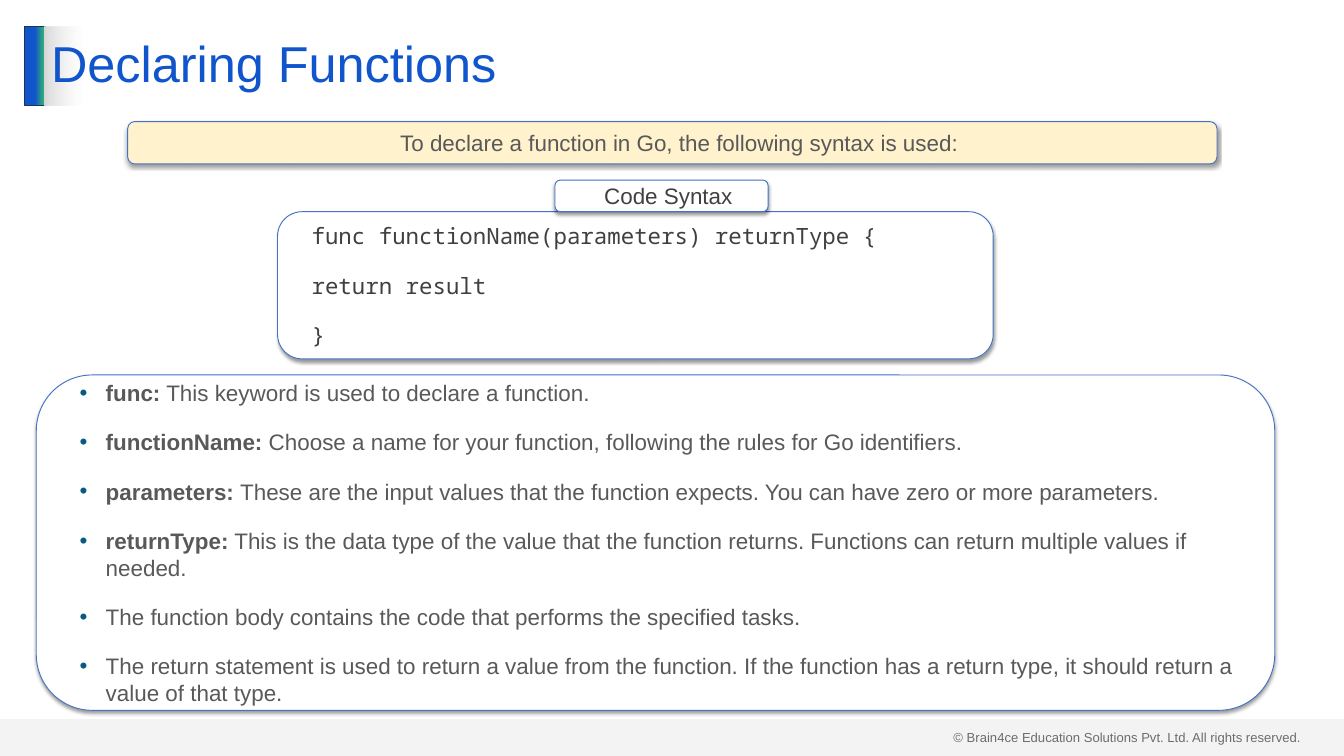
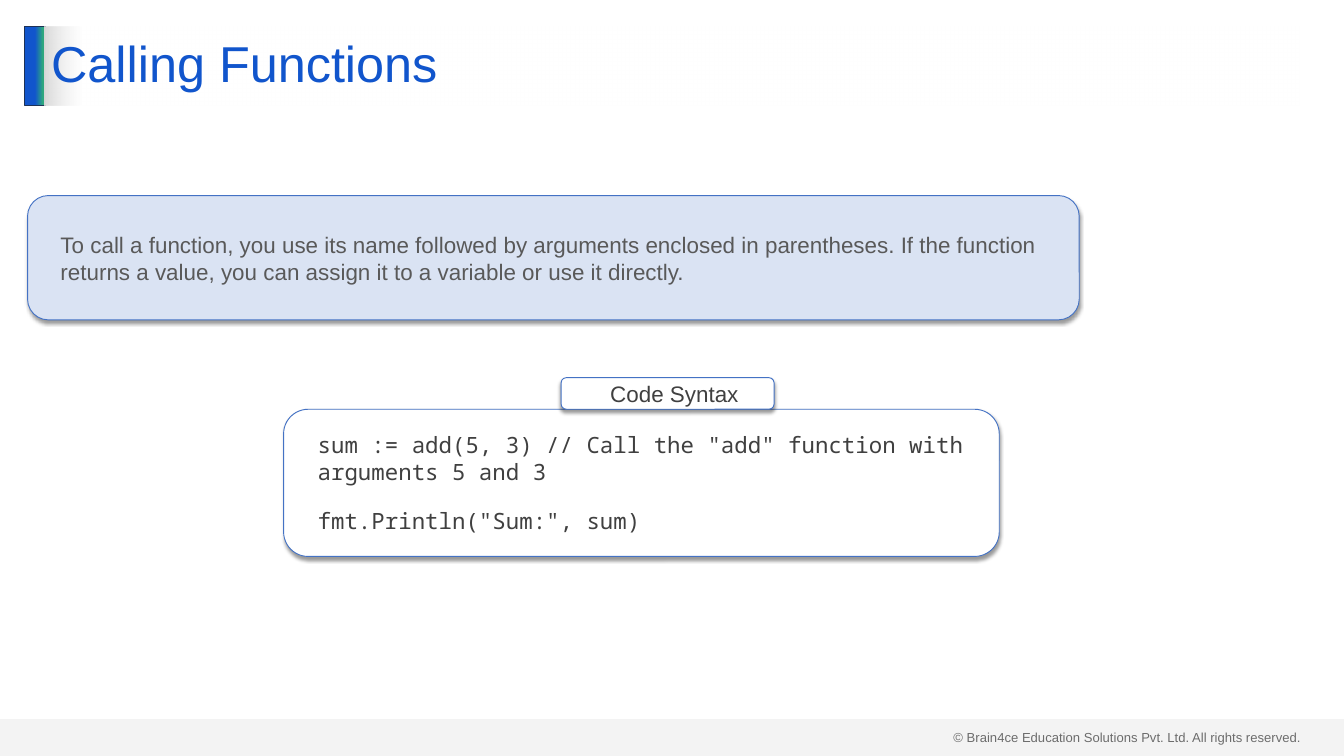
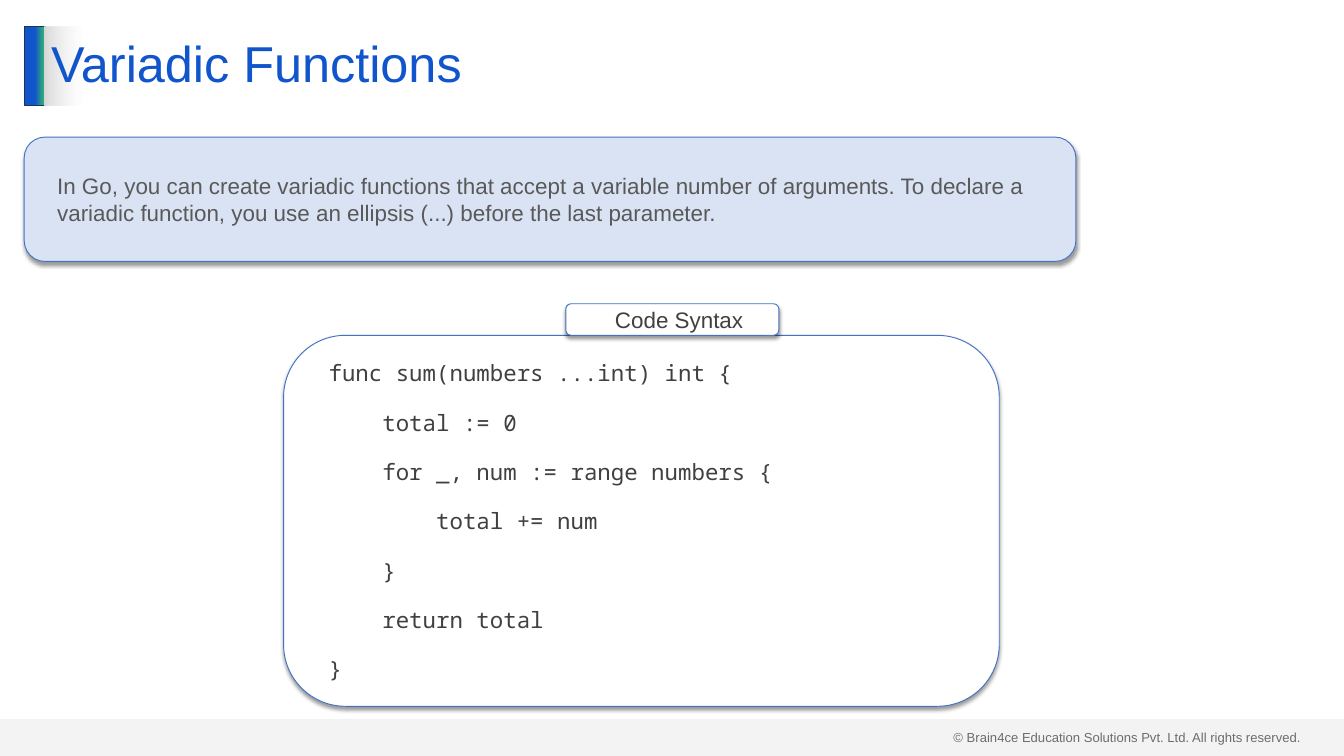
import dataclasses

import lxml.etree
import pptx
import pptx.dml.color
import pptx.enum.shapes
import pptx.enum.text
import pptx.oxml.ns
import pptx.util

Inches = pptx.util.Inches
Pt = pptx.util.Pt
RGBColor = pptx.dml.color.RGBColor
Shapes = pptx.enum.shapes.MSO_SHAPE
Align = pptx.enum.text.PP_ALIGN
AutoSize = pptx.enum.text.MSO_AUTO_SIZE
qn = pptx.oxml.ns.qn


@dataclasses.dataclass(frozen=True)
class Theme:
    title: str = "1155CC"
    accent_end: str = "2EA87D"
    accent_line: str = "1E3256"
    gray: str = "D9D9D9"
    white: str = "FFFFFF"
    outline: str = "4472C4"
    cream: str = "FFF2CC"
    pale_blue: str = "DAE3F3"
    text: str = "595959"
    dark_text: str = "404040"
    bullet: str = "095A82"
    shadow: str = "000000"
    font: str = "Arial"
    code_font: str = "Noto Sans Mono"
    title_size: int = 54
    text_size: int = 24
    footer_size: int = 14
    paragraph_gap: int = 24


THEME = Theme()
TITLE_ONLY, TITLE_AND_BODY = 5, 1
CALLOUT_SIZE = (15.65, 1.85)
TAB_SIZE = (3.17, 0.47)


# Formatting helpers
def add_element(parent, tag, **attributes):
    element = lxml.etree.SubElement(parent, qn(tag))
    for name, value in attributes.items():
        element.set(name, str(value))
    return element


def add_color(parent, color, opacity=100):
    element = add_element(parent, "a:srgbClr", val=color)
    if opacity < 100:
        add_element(element, "a:alpha", val=opacity * 1000)


def fill_solid(shape, color, opacity=100):
    shape.fill.solid()
    shape.fill.fore_color.rgb = RGBColor.from_string(color)
    if opacity < 100:
        color_element = shape.element.spPr.find(".//" + qn("a:srgbClr"))
        add_element(color_element, "a:alpha", val=opacity * 1000)


def fill_gradient(shape, stops):
    shape.fill.gradient()
    shape.fill.gradient_angle = 0
    stop_list = shape.element.spPr.find(".//" + qn("a:gsLst"))
    for stop in list(stop_list):
        stop_list.remove(stop)
    for position, color, opacity in stops:
        stop = add_element(stop_list, "a:gs", pos=position * 1000)
        add_color(stop, color, opacity)


def set_line(shape, color):
    shape.line.color.rgb = RGBColor.from_string(color)
    shape.line.width = Pt(1)


def place(shape, box):
    shape.left, shape.top, shape.width, shape.height = map(Inches, box)


def write_text(frame, paragraphs, *, color=THEME.text, font=THEME.font,
               size=THEME.text_size, align=Align.LEFT, line_spacing=None,
               indent=0, hanging=0, bullet=None):
    """Write paragraphs; a (lead, rest) pair sets its lead in bold."""
    for index, content in enumerate(paragraphs):
        paragraph = frame.paragraphs[0] if index == 0 else frame.add_paragraph()
        properties = paragraph._p.get_or_add_pPr()
        properties.set("marL", str(Inches(indent)))
        properties.set("indent", str(Inches(-hanging)))
        if bullet:
            add_color(add_element(properties, "a:buClr"), bullet)
            add_element(properties, "a:buFont", typeface=THEME.font)
            add_element(properties, "a:buChar", char="•")
        paragraph.alignment = align
        paragraph.space_before = Pt(THEME.paragraph_gap if index else 0)
        if line_spacing:
            paragraph.line_spacing = line_spacing
        lead, rest = content if isinstance(content, tuple) else ("", content)
        for text, bold in ((lead, True), (rest, False)):
            if text:
                run = paragraph.add_run()
                run.text = text
                run.font.name = font
                run.font.size = Pt(size)
                run.font.bold = bold
                run.font.color.rgb = RGBColor.from_string(color)


def style_panel(shape, fill):
    """Give a shape the outline, soft shadow and insets of a panel."""
    fill_solid(shape, fill)
    set_line(shape, THEME.outline)
    shape.shadow.inherit = False
    effects = shape.element.spPr.find(qn("a:effectLst"))
    shadow = add_element(effects, "a:outerShdw", blurRad=Pt(4), dist=Pt(3),
                         dir=90 * 60000, algn="t", rotWithShape=0)
    add_color(shadow, THEME.shadow, 40)
    frame = shape.text_frame
    frame.word_wrap = True
    frame.auto_size = AutoSize.NONE
    frame.vertical_anchor = pptx.enum.text.MSO_ANCHOR.MIDDLE
    frame.margin_left = frame.margin_right = Inches(0.2)
    frame.margin_top = frame.margin_bottom = Inches(0.1)


# Regions
def add_panel(slide, box, paragraphs, fill=THEME.white, **text_format):
    panel = slide.shapes.add_shape(Shapes.ROUNDED_RECTANGLE, *map(Inches, box))
    style_panel(panel, fill)
    write_text(panel.text_frame, paragraphs, indent=0.2, **text_format)


def add_callout(slide, left, top, text):
    add_panel(slide, (left, top, *CALLOUT_SIZE), [text], THEME.pale_blue)


def add_code_panel(slide, box, lines, tab_offset=4.13):
    left, top = box[:2]
    add_panel(slide, box, lines, color=THEME.dark_text, font=THEME.code_font)
    tab_box = (left + tab_offset, top - TAB_SIZE[1], *TAB_SIZE)
    add_panel(slide, tab_box, ["Code Syntax"], color=THEME.dark_text,
              align=Align.CENTER)


def fill_bullet_panel(slide, box, items):
    body = slide.placeholders[1]
    place(body, box)
    geometry = add_element(body.element.spPr, "a:prstGeom", prst="roundRect")
    add_element(geometry, "a:avLst")
    style_panel(body, THEME.white)
    write_text(body.text_frame, items, indent=0.59, hanging=0.39,
               bullet=THEME.bullet)


def add_titled_slide(presentation, layout, text):
    slide = presentation.slides.add_slide(presentation.slide_layouts[layout])
    title = slide.shapes.title
    place(title, (0.66, 0.39, 18.67, 1.18))
    fill_gradient(title, [(0, THEME.gray, 100), (3, THEME.white, 50)])
    title.text_frame.auto_size = AutoSize.NONE
    title.text_frame.vertical_anchor = pptx.enum.text.MSO_ANCHOR.MIDDLE
    write_text(title.text_frame, [text], color=THEME.title,
               size=THEME.title_size, line_spacing=0.9)
    return slide


def move_frame_to_master(presentation, slide):
    """Draw the footer and title accent, then hand them to the master."""
    footer = slide.shapes.add_textbox(*map(Inches, (14.09, 10.8, 5.41, 0.34)))
    footer.text_frame.word_wrap = True
    footer.text_frame.auto_size = AutoSize.SHAPE_TO_FIT_TEXT
    write_text(footer.text_frame,
               ["© Brain4ce Education Solutions Pvt. Ltd. All rights reserved."],
               color=THEME.dark_text, size=THEME.footer_size)

    accent = slide.shapes.add_shape(
        Shapes.RECTANGLE, *map(Inches, (0.37, 0.39, 0.3, 1.18)))
    fill_gradient(accent, [(51, THEME.title, 100), (90, THEME.accent_end, 100),
                           (100, THEME.accent_end, 100)])
    set_line(accent, THEME.accent_line)
    accent.shadow.inherit = False

    band = slide.shapes.add_shape(
        Shapes.RECTANGLE, *map(Inches, (0, 10.7, 20, 0.55)))
    fill_solid(band, THEME.gray, 29)
    band.line.fill.background()
    band.shadow.inherit = False

    master_tree = presentation.slide_master.shapes.element
    for number, shape in enumerate((footer, accent, band), start=101):
        shape.element.nvSpPr.cNvPr.id = number
        master_tree.append(shape.element)


# Slides
def build_declaring(presentation):
    slide = add_titled_slide(presentation, TITLE_AND_BODY, "Declaring Functions")
    move_frame_to_master(presentation, slide)
    add_code_panel(slide, (4.13, 3.15, 10.65, 2.19), [
        "func functionName(parameters) returnType {",
        "return result",
        "}",
    ])
    add_panel(slide, (1.9, 1.81, 16.21, 0.63),
              ["To declare a function in Go, the following syntax is used:"],
              THEME.cream, align=Align.CENTER)
    fill_bullet_panel(slide, (0.54, 5.58, 18.43, 4.99), [
        ("func:", " This keyword is used to declare a function."),
        ("functionName:", " Choose a name for your function, following the "
         "rules for Go identifiers."),
        ("parameters: ", "These are the input values that the function "
         "expects. You can have zero or more parameters."),
        ("returnType:", " This is the data type of the value that the function "
         "returns. Functions can return multiple values if needed."),
        "The function body contains the code that performs the specified tasks.",
        "The return statement is used to return a value from the function. If "
        "the function has a return type, it should return a value of that type.",
    ])


def build_calling(presentation):
    slide = add_titled_slide(presentation, TITLE_ONLY, "Calling Functions")
    add_callout(slide, 0.41, 2.91,
                "To call a function, you use its name followed by arguments "
                "enclosed in parentheses. If the function returns a value, you "
                "can assign it to a variable or use it directly.")
    add_code_panel(slide, (4.22, 6.09, 10.65, 2.19), [
        'sum := add(5, 3) // Call the "add" function with arguments 5 and 3',
        'fmt.Println("Sum:", sum)',
    ])


def build_variadic(presentation):
    slide = add_titled_slide(presentation, TITLE_ONLY, "Variadic Functions")
    add_callout(slide, 0.36, 2.04,
                "In Go, you can create variadic functions that accept a "
                "variable number of arguments. To declare a variadic function, "
                "you use an ellipsis (...) before the last parameter.")
    add_code_panel(slide, (4.22, 4.99, 10.65, 5.52), [
        "func sum(numbers ...int) int {",
        "    total := 0",
        "    for _, num := range numbers {",
        "        total += num",
        "    }",
        "    return total",
        "}",
    ], tab_offset=4.2)


def main():
    presentation = pptx.Presentation()
    presentation.slide_width = Inches(20)
    presentation.slide_height = Inches(11.25)
    build_declaring(presentation)
    build_calling(presentation)
    build_variadic(presentation)
    presentation.save("out.pptx")


if __name__ == "__main__":
    main()
